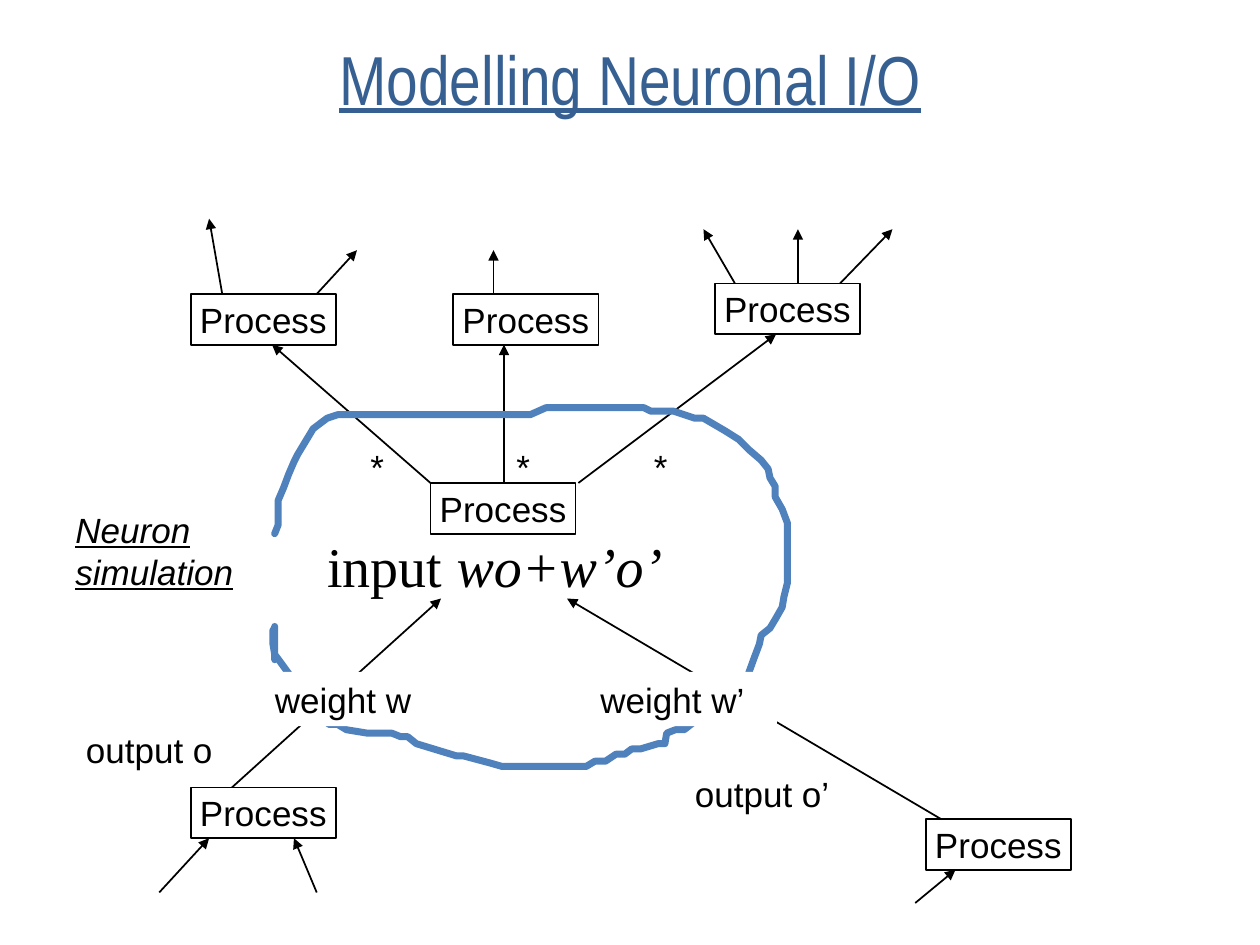
from pptx import Presentation
from pptx.dml.color import RGBColor
from pptx.enum import shapes, text
from pptx.oxml.ns import qn
from pptx.oxml.xmlchemy import OxmlElement
from pptx.util import Pt

BLACK = RGBColor(0x00, 0x00, 0x00)
WHITE = RGBColor(0xFF, 0xFF, 0xFF)
TITLE_BLUE = RGBColor(0x37, 0x60, 0x92)
OUTLINE_BLUE = RGBColor(0x4F, 0x81, 0xBD)
BOX_W, BOX_H = 83, 29
LABEL_H = 31

# Hand-drawn cell outline, in points from its top left corner
OUTLINE = [
    (1, 72), (3, 67), (3, 53), (6, 46), (9, 38), (12, 31), (14, 27), (17, 22),
    (23, 12), (31, 6), (37, 4), (147, 4), (156, 0), (212, 0), (216, 2), (229, 2),
    (241, 6), (246, 6), (258, 13), (266, 18), (272, 24), (279, 30), (283, 35),
    (284, 40), (287, 45), (287, 51), (291, 58), (294, 66), (294, 100), (292, 108),
    (291, 114), (287, 121), (284, 126), (279, 130), (278, 135), (275, 143),
    (271, 154), (266, 156), (263, 161), (258, 163), (253, 170), (235, 184),
    (230, 184), (225, 186), (224, 192), (220, 192), (210, 195), (205, 195),
    (201, 198), (196, 198), (190, 202), (184, 202), (179, 205), (131, 205),
    (124, 203), (109, 199), (105, 199), (82, 192), (77, 188), (73, 188), (68, 186),
    (54, 186), (42, 184), (37, 181), (32, 181), (29, 177), (18, 162), (12, 156),
    (4, 145), (1, 141), (0, 135), (0, 127), (1, 131), (1, 144), (1, 125)]


def style(r, size=20, font="Arial", color=BLACK, italic=False, underline=False):
    r.font.size, r.font.name, r.font.color.rgb = Pt(size), font, color
    r.font.italic, r.font.underline = italic, underline


def label(s, x, y, w, h, words, fill=None, **font):
    sp = s.shapes.add_textbox(Pt(x), Pt(y), Pt(w), Pt(h))
    if fill is not None:
        sp.fill.solid()
        sp.fill.fore_color.rgb = fill
    tf = sp.text_frame
    tf.word_wrap = True
    p = tf.paragraphs[0]
    p.text = words
    style(p.runs[0], **font)
    return tf


def process(s, x, y):
    sp = s.shapes.add_shape(shapes.MSO_SHAPE.RECTANGLE, Pt(x), Pt(y), Pt(BOX_W), Pt(BOX_H))
    sp.shadow.inherit = False
    sp.fill.solid()
    sp.fill.fore_color.rgb = WHITE
    sp.line.color.rgb, sp.line.width = BLACK, Pt(1)
    tf = sp.text_frame
    tf.word_wrap = False
    tf.vertical_anchor = text.MSO_ANCHOR.MIDDLE
    p = tf.paragraphs[0]
    p.text = "Process"
    p.alignment = text.PP_ALIGN.CENTER
    style(p.runs[0])


def arrows(s, x, y, links):
    for x1, y1, x2, y2 in links:
        c = s.shapes.add_connector(shapes.MSO_CONNECTOR.STRAIGHT,
                                   Pt(x + x1), Pt(y + y1), Pt(x + x2), Pt(y + y2))
        c.line.color.rgb, c.line.width = BLACK, Pt(1)
        spPr = c._element.spPr
        tail = OxmlElement("a:tailEnd")
        tail.set("type", "triangle")
        spPr.find(qn("a:ln")).append(tail)
        spPr.append(OxmlElement("a:effectLst"))


def title(s, x, y, w, h):
    tf = label(s, x, y, w, h, "Modelling Neuronal I/O", size=39.6,
               font="Arial Narrow", color=TITLE_BLUE, underline=True)
    tf.vertical_anchor = text.MSO_ANCHOR.MIDDLE
    tf.paragraphs[0].alignment = text.PP_ALIGN.CENTER


def receivers(s, x, y):
    arrows(s, x, y, [(18, 43, 10.5, 0), (72, 43, 95, 18), (173, 43, 173, 18),
                     (311, 37, 293, 6), (347, 37, 347, 6), (371, 37, 401, 6)])
    for dx, dy in [(0, 43), (150, 43), (299.5, 37)]:
        process(s, x + dx, y + dy)


def neuron(s, x, y):
    # Cell process and its outgoing links
    arrows(s, x, y, [(294.5, 85, 407.5, 0), (210, 85, 119.5, 6), (252, 85, 252, 6)])
    process(s, x + 210, y + 85)
    for dx in (168.5, 252, 330.5):
        label(s, x + dx, y + 60, 24, LABEL_H, "*")

    # Outline
    fb = s.shapes.build_freeform(*OUTLINE[0], scale=Pt(1))
    fb.add_line_segments(OUTLINE[1:], close=False)
    sp = fb.convert_to_shape(Pt(x + 120), Pt(y + 42))
    sp.shadow.inherit = False
    sp.fill.background()
    sp.line.color.rgb, sp.line.width = OUTLINE_BLUE, Pt(4)
    ln = sp._element.spPr.find(qn("a:ln"))
    ln.set("cap", "rnd")
    ln.append(OxmlElement("a:round"))

    # Captions
    label(s, x, y + 96, 126, 55, "Neuron simulation", italic=True, underline=True)
    formula = dict(size=32, font="Times New Roman")
    tf = label(s, x + 144, y + 109, 216, 46, "input ", **formula)
    r = tf.paragraphs[0].add_run()
    r.text = "wo+w’o’"
    style(r, italic=True, **formula)


def senders(s, x, y):
    arrows(s, x, y, [(96.5, 108, 216, 0), (522, 138, 288, 0), (55, 168, 83.5, 137),
                     (145, 168, 132, 137), (487, 174, 510, 155)])
    for dx, dy in [(73, 108), (493, 126)]:
        process(s, x + dx, y + dy)
    for dx, dy, words in [(6, 71, "output o"), (354, 96, "output o’")]:
        label(s, x + dx, y + dy, 126, LABEL_H, words)
    for dx, words in [(114, "weight w"), (300, "weight w’")]:
        label(s, x + dx, y + 42, 108, LABEL_H, words, fill=WHITE)


def main():
    prs = Presentation()
    prs.slide_width, prs.slide_height = Pt(720), Pt(540)
    s = prs.slides.add_slide(prs.slide_layouts[6])
    title(s, 36, 22, 648, 45)
    receivers(s, 109, 125)
    neuron(s, 36, 191)
    senders(s, 36, 342)
    prs.save("out.pptx")


if __name__ == "__main__":
    main()
